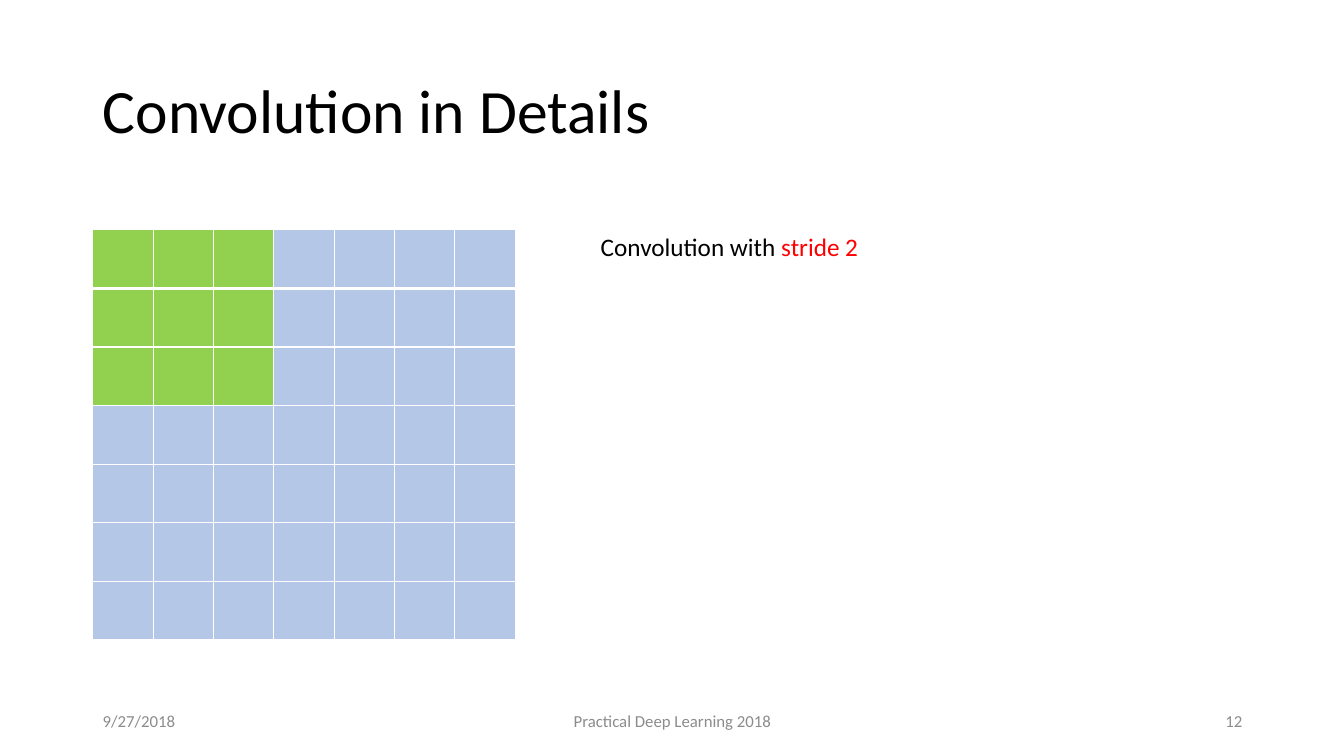
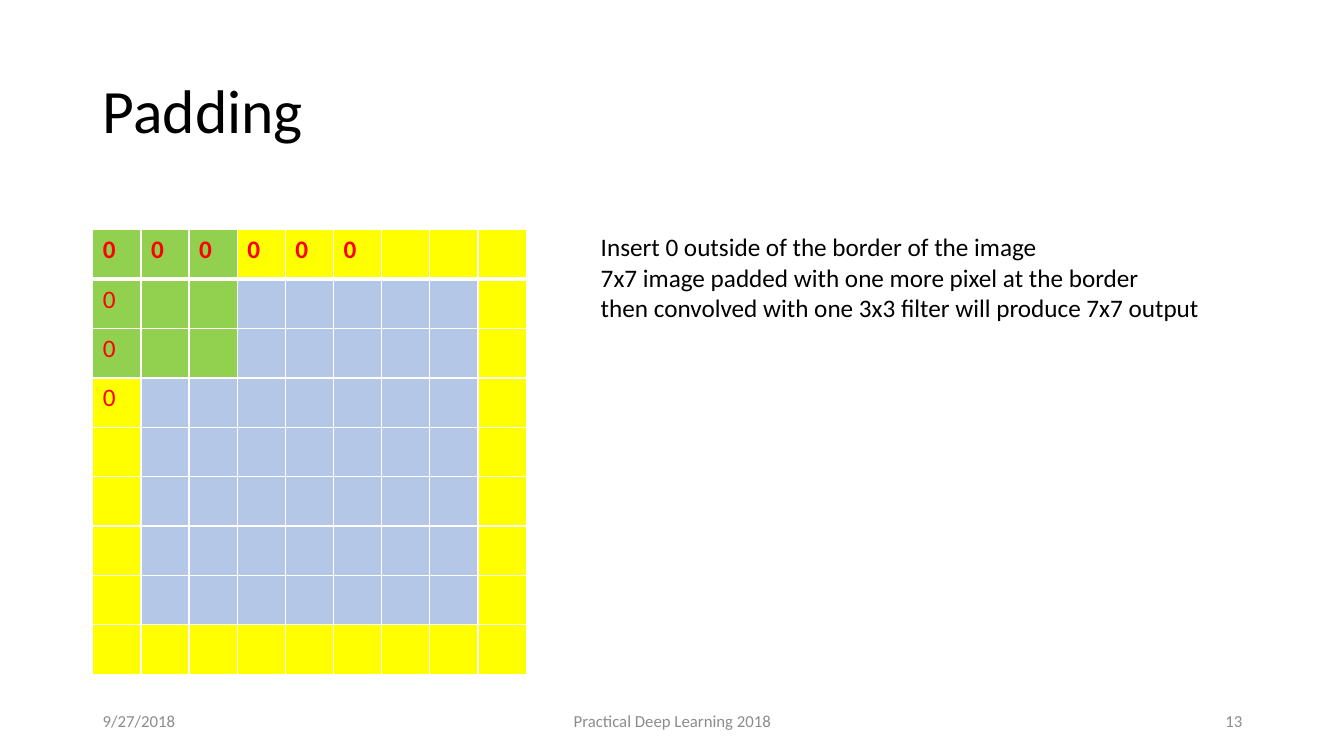
"""Build two lecture slides on convolution stride and padding."""
from dataclasses import dataclass

from lxml import etree
from pptx import Presentation
from pptx.dml.color import RGBColor as RGB
from pptx.enum.text import MSO_ANCHOR as ANCHOR, MSO_AUTO_SIZE as FIT, PP_ALIGN as ALIGN
from pptx.oxml.ns import qn
from pptx.util import Inches, Pt


@dataclass(frozen=True)
class Theme:
    """Colours, font and type sizes shared by the slides."""
    font: str = "Calibri"
    title_size: int = 44
    body_size: int = 18
    footer_size: int = 12
    text: str = "000000"
    muted: str = "8C8C8C"
    accent: str = "FF0000"
    pixel: str = "B4C7E7"
    window: str = "92D050"
    padding: str = "FFFF00"
    border: str = "FFFFFF"
    thin: int = 1
    thick: int = 3


THEME = Theme()
MARGIN = 0.92
GRID_TOP = 2.28
KERNEL = 3


def set_font(font, size, color, bold=False):
    """Apply the theme font with a size and colour."""
    font.name, font.size, font.bold = THEME.font, Pt(size), bold
    font.color.rgb = RGB.from_string(color)


def add_title_slide(prs, title):
    """Add a title-only slide with the shared title style."""
    slide = prs.slides.add_slide(prs.slide_layouts[5])
    sp = slide.shapes.title
    sp.left, sp.top, sp.width, sp.height = map(Inches, (MARGIN, 0.4, 11.5, 1.45))
    tf = sp.text_frame
    tf.text, tf.vertical_anchor, tf.auto_size = title, ANCHOR.MIDDLE, FIT.NONE
    p = tf.paragraphs[0]
    p.alignment, p.line_spacing = ALIGN.LEFT, 0.9
    set_font(p.font, THEME.title_size, THEME.text)
    return slide


def add_footer(slide, number):
    """Add the date, course name and slide number."""
    items = (
        (MARGIN, 3, "9/27/2018", ALIGN.LEFT),
        (4.42, 4.5, "Practical Deep Learning 2018", ALIGN.CENTER),
        (9.42, 3, str(number), ALIGN.RIGHT),
    )
    for left, width, text, align in items:
        sp = slide.shapes.add_textbox(Inches(left), Inches(6.95), Inches(width), Inches(0.4))
        tf = sp.text_frame
        tf.text, tf.word_wrap, tf.vertical_anchor = text, True, ANCHOR.MIDDLE
        p = tf.paragraphs[0]
        p.alignment = align
        set_font(p.font, THEME.footer_size, THEME.muted)


def add_note(slide, width, height, lines):
    """Add the explanation beside the grid and return its paragraphs."""
    sp = slide.shapes.add_textbox(Inches(5.86), Inches(2.25), Inches(width), Inches(height))
    tf = sp.text_frame
    tf.text, tf.word_wrap, tf.auto_size = "\n".join(lines), False, FIT.SHAPE_TO_FIT_TEXT
    for p in tf.paragraphs:
        set_font(p.font, THEME.body_size, THEME.text)
    return tf.paragraphs


def set_borders(cell, row):
    """Draw thin cell borders with a thick rule under the first row."""
    tc_pr = cell._tc.get_or_add_tcPr()
    thick_side = {0: "lnB", 1: "lnT"}.get(row)
    for side in ("lnL", "lnR", "lnT", "lnB"):
        width = THEME.thick if side == thick_side else THEME.thin
        ln = etree.SubElement(tc_pr, qn(f"a:{side}"), w=str(Pt(width)))
        fill = etree.SubElement(ln, qn("a:solidFill"))
        etree.SubElement(fill, qn("a:srgbClr"), val=THEME.border)


def add_grid(slide, count, cell_width, cell_height, color_at):
    """Add a square pixel grid coloured by row and column."""
    table = slide.shapes.add_table(
        count, count, Inches(MARGIN), Inches(GRID_TOP),
        Inches(count * cell_width), Inches(count * cell_height)).table
    for row in range(count):
        for col in range(count):
            cell = table.cell(row, col)
            set_borders(cell, row)
            cell.fill.solid()
            cell.fill.fore_color.rgb = RGB.from_string(color_at(row, col))
    return table


def stride_slide(prs):
    """Show a filter window on an unpadded image."""
    slide = add_title_slide(prs, "Convolution in Details")
    cell_size = 4.19 / 7, 4.07 / 7
    add_grid(slide, 7, *cell_size, lambda row, col: THEME.pixel)
    add_footer(slide, 12)
    add_grid(slide, KERNEL, *cell_size, lambda row, col: THEME.window)
    p = add_note(slide, 2.79, 0.4, ["Convolution with "])[0]
    r = p.add_run()
    r.text = "stride 2"
    r.font.color.rgb = RGB.from_string(THEME.accent)


def padding_slide(prs):
    """Show a filter window on an image with a padded border."""
    count = 9

    def color_at(row, col):
        """Pick the window, padding or pixel colour."""
        if max(row, col) < KERNEL:
            return THEME.window
        on_edge = {row, col} & {0, count - 1}
        return THEME.padding if on_edge else THEME.pixel

    slide = add_title_slide(prs, "Padding")
    table = add_grid(slide, count, 4.3 / count, 4.41 / count, color_at)
    zeros = [(0, col) for col in range(6)] + [(row, 0) for row in range(1, 4)]
    for row, col in zeros:
        tf = table.cell(row, col).text_frame
        tf.text = "0"
        set_font(tf.paragraphs[0].font, THEME.body_size, THEME.accent, bold=row == 0)
    add_footer(slide, 13)
    add_note(slide, 6.21, 1.01, [
        "Insert 0 outside of the border of the image",
        "7x7 image padded with one more pixel at the border",
        "then convolved with one 3x3 filter will produce 7x7 output",
    ])


def main():
    """Build and save the presentation."""
    prs = Presentation()
    prs.slide_width, prs.slide_height = Inches(13.33), Inches(7.5)
    stride_slide(prs)
    padding_slide(prs)
    prs.save("out.pptx")


if __name__ == "__main__":
    main()
